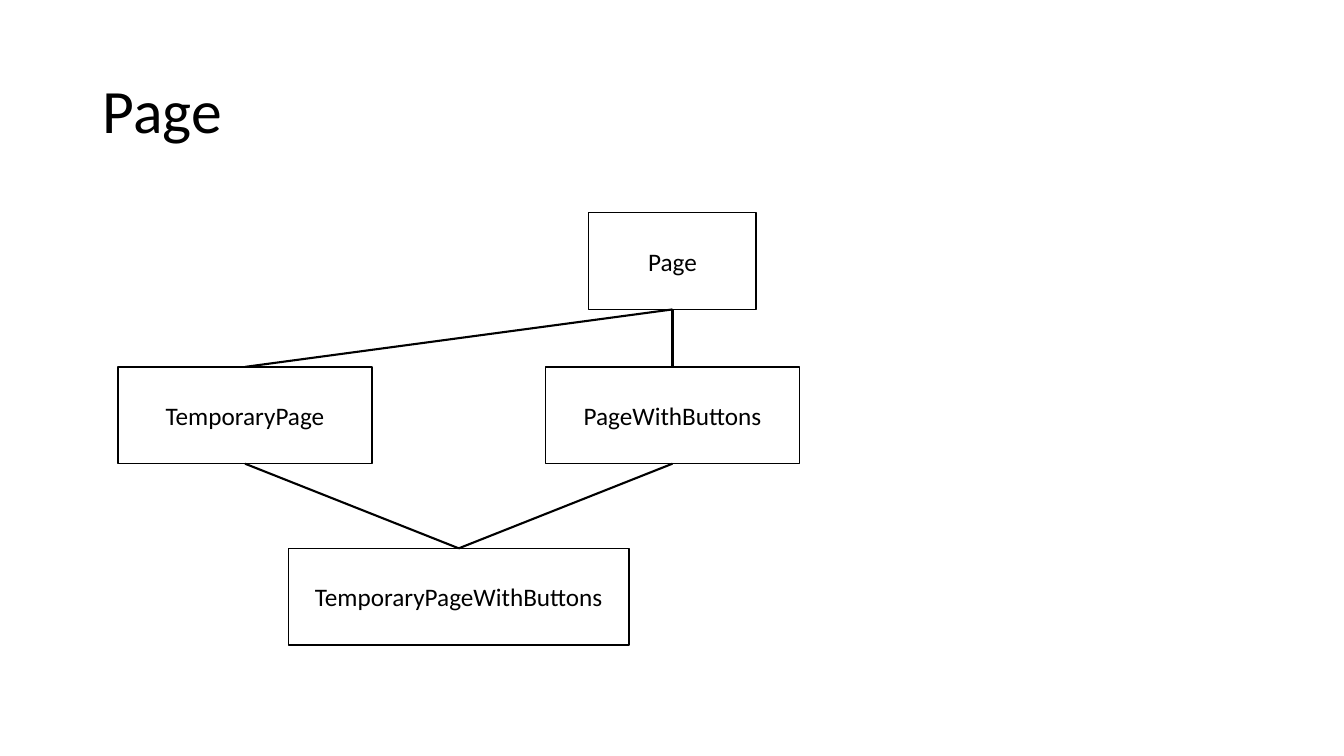
from dataclasses import dataclass

from lxml import etree
from pptx import Presentation
from pptx.dml.color import RGBColor
from pptx.enum.shapes import MSO_CONNECTOR, MSO_SHAPE
from pptx.enum.text import MSO_ANCHOR, PP_ALIGN
from pptx.oxml.ns import qn
from pptx.shapes.autoshape import Shape
from pptx.slide import Slide
from pptx.text.text import TextFrame
from pptx.util import Inches, Pt

RECTANGLE = MSO_SHAPE.RECTANGLE
STRAIGHT = MSO_CONNECTOR.STRAIGHT
MIDDLE = MSO_ANCHOR.MIDDLE
LEFT, CENTER = PP_ALIGN.LEFT, PP_ALIGN.CENTER

BLACK = RGBColor(0x00, 0x00, 0x00)
WHITE = RGBColor(0xFF, 0xFF, 0xFF)
FONT = "Calibri"
BOX_HEIGHT = 0.96
BOTTOM_SITE, TOP_SITE = 2, 0


@dataclass(frozen=True)
class ClassBox:
    name: str
    center: float
    top: float
    width: float


TEMPORARY_X, BUTTONS_X = 2.43, 6.67
CLASSES = [
    ClassBox("Page", BUTTONS_X, 2.11, 1.66),
    ClassBox("TemporaryPage", TEMPORARY_X, 3.64, 2.52),
    ClassBox("PageWithButtons", BUTTONS_X, 3.64, 2.52),
    ClassBox("TemporaryPageWithButtons", (TEMPORARY_X + BUTTONS_X) / 2, 5.44, 3.38),
]
INHERITANCE = [
    ("Page", "PageWithButtons"),
    ("Page", "TemporaryPage"),
    ("PageWithButtons", "TemporaryPageWithButtons"),
    ("TemporaryPage", "TemporaryPageWithButtons"),
]


def write_text(frame: TextFrame, text: str, size: int, alignment: PP_ALIGN) -> None:
    frame.text = text
    frame.word_wrap = True
    frame.vertical_anchor = MIDDLE
    paragraph = frame.paragraphs[0]
    paragraph.alignment = alignment
    paragraph.font.name = FONT
    paragraph.font.size = Pt(size)
    paragraph.font.color.rgb = BLACK


def add_title(slide: Slide, text: str) -> None:
    title = slide.shapes.title
    title.left, title.top = Inches(0.92), Inches(0.4)
    title.width, title.height = Inches(11.5), Inches(1.45)
    write_text(title.text_frame, text, 44, LEFT)
    title.text_frame.paragraphs[0].line_spacing = 0.9


def add_class_box(slide: Slide, box: ClassBox) -> Shape:
    shape = slide.shapes.add_shape(
        RECTANGLE, Inches(box.center - box.width / 2), Inches(box.top),
        Inches(box.width), Inches(BOX_HEIGHT))
    shape.shadow.inherit = False
    shape.fill.solid()
    shape.fill.fore_color.rgb = WHITE
    shape.line.color.rgb = BLACK
    shape.line.width = Pt(1)
    write_text(shape.text_frame, box.name, 18, CENTER)
    return shape


def connect(slide: Slide, parent: Shape, child: Shape) -> None:
    """Join the bottom of the parent class to the top of the child class."""
    link = slide.shapes.add_connector(STRAIGHT, 0, 0, 0, 0)
    link.begin_connect(parent, BOTTOM_SITE)
    link.end_connect(child, TOP_SITE)
    link.line.color.rgb = BLACK
    link.line.width = Pt(1.5)
    etree.SubElement(link._element.spPr, qn("a:effectLst"))


def main() -> None:
    deck = Presentation()
    deck.slide_width, deck.slide_height = Inches(13.33), Inches(7.5)
    slide = deck.slides.add_slide(deck.slide_layouts.get_by_name("Title Only"))
    add_title(slide, "Page")
    shapes = {box.name: add_class_box(slide, box) for box in CLASSES}
    for parent, child in INHERITANCE:
        connect(slide, shapes[parent], shapes[child])
    deck.save("out.pptx")


if __name__ == "__main__":
    main()
